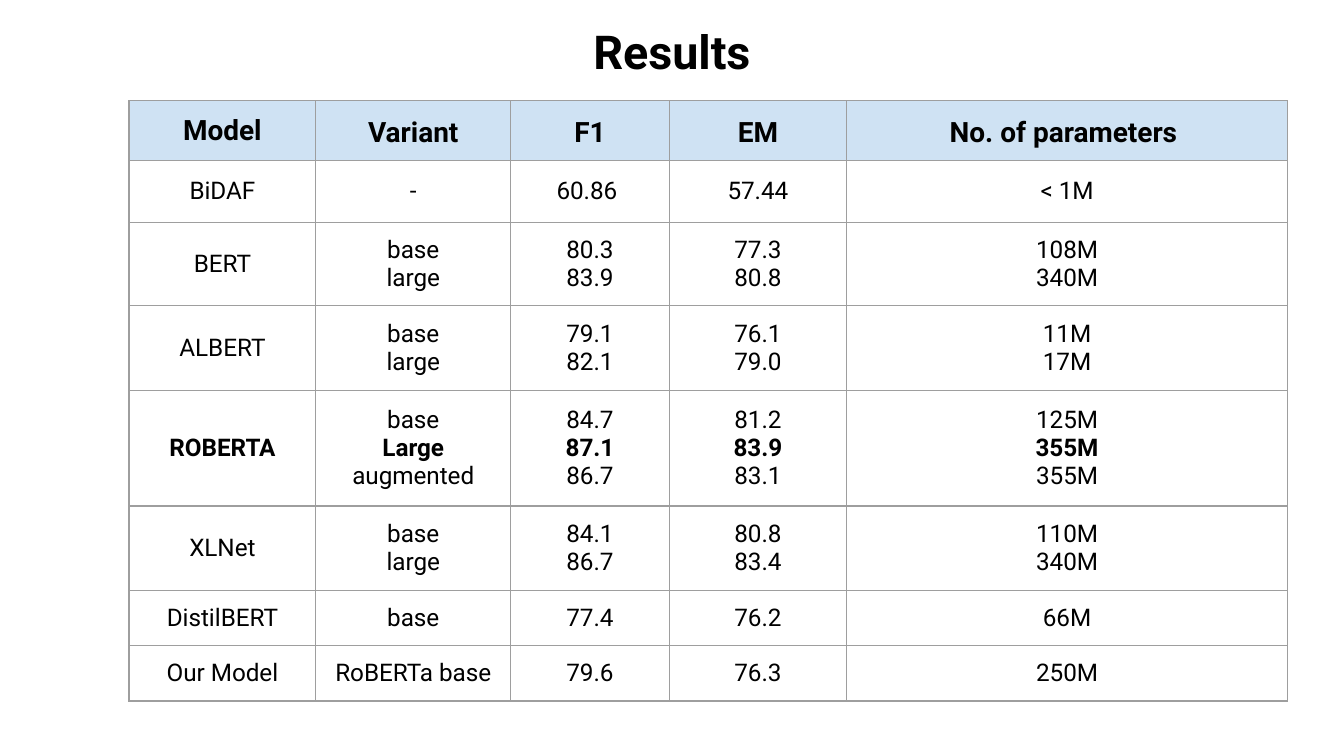
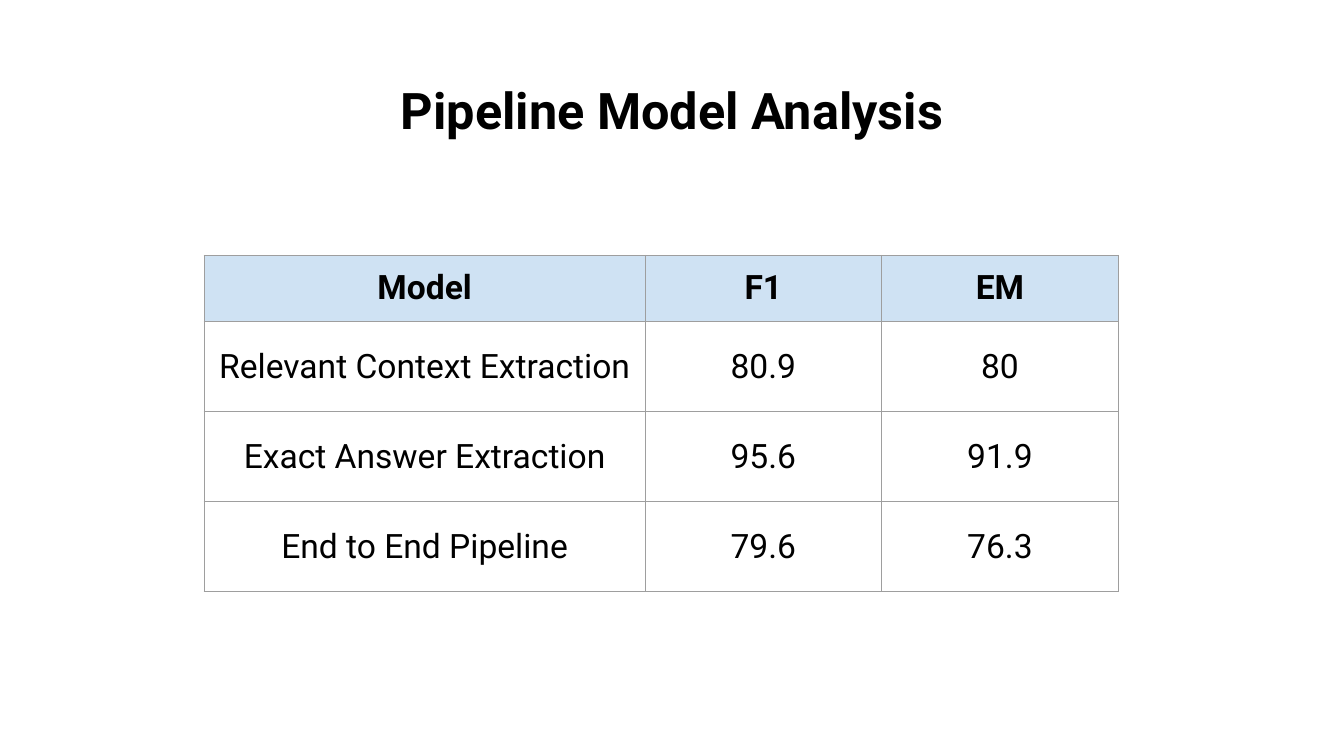
from dataclasses import dataclass
from typing import Optional

from lxml.etree import SubElement
from pptx import Presentation
from pptx.dml.color import RGBColor
from pptx.enum.text import MSO_ANCHOR as Anchor, PP_ALIGN as Align
from pptx.oxml.ns import qn
from pptx.util import Inches, Pt

FONT = "Roboto"
BLACK = RGBColor(0x00, 0x00, 0x00)
WHITE = RGBColor(0xFF, 0xFF, 0xFF)
GRID_GREY = RGBColor(0x9E, 0x9E, 0x9E)
HEADER_BLUE = RGBColor(0xCF, 0xE2, 0xF3)
GRID_WIDTH = Pt(0.75)
SLIDE_WIDTH = Inches(10)
SLIDE_HEIGHT = SLIDE_WIDTH * 9 // 16
TITLE_LAYOUT = 5


@dataclass(frozen=True)
class CellStyle:
    side_margin: float = 0.1
    end_margin: float = 0.1
    line_spacing: float = 1.0
    space_before: float = 0
    space_after: float = 0


PLAIN = CellStyle()
SPACED_HEADER = CellStyle(0.14, 0.06, 1.15, space_after=12)
TIGHT_SCORE = CellStyle(line_spacing=0.9, space_before=4)


@dataclass(frozen=True)
class Row:
    height: float
    cells: tuple[str, ...]
    best_line: Optional[int] = None


@dataclass(frozen=True)
class TableSlide:
    title: str
    title_top: float
    title_height: float
    title_size: float
    left: float
    top: float
    column_widths: tuple[float, ...]
    header_size: float
    body_size: float
    rows: tuple[Row, ...]
    special_styles: dict[tuple[int, int], CellStyle]


RESULTS = TableSlide(
    title="Results",
    title_top=0.05,
    title_height=0.71,
    title_size=25,
    left=0.96,
    top=0.75,
    column_widths=(1.39, 1.45, 1.18, 1.32, 3.28),
    header_size=15,
    body_size=13,
    rows=(
        Row(0.42, ("Model", "Variant", "F1", "EM", "No. of parameters ")),
        Row(0.46, ("BiDAF", "-", "60.86 ", "57.44", "< 1M")),
        Row(0.56, ("BERT", "base\nlarge", "80.3\n83.9", "77.3\n80.8", "108M\n340M")),
        Row(0.63, ("ALBERT", "base\nlarge", "79.1\n82.1", "76.1\n79.0", "11M\n17M")),
        Row(
            0.86,
            (
                "ROBERTA",
                "base\nLarge\naugmented",
                "84.7\n87.1\n86.7",
                "81.2\n83.9\n83.1",
                "125M\n355M\n355M",
            ),
            best_line=1,
        ),
        Row(0.63, ("XLNet", "base\nlarge", "84.1\n86.7", "80.8\n83.4", "110M\n340M")),
        Row(0.41, ("DistilBERT", "base", "77.4", "76.2", "66M")),
        Row(0.41, ("Our Model", "RoBERTa base", "79.6", "76.3", "250M")),
    ),
    special_styles={
        **{(0, column): SPACED_HEADER for column in range(1, 5)},
        **{(1, column): TIGHT_SCORE for column in (2, 3)},
    },
)

PIPELINE = TableSlide(
    title="Pipeline Model Analysis",
    title_top=0.3,
    title_height=1.09,
    title_size=27,
    left=1.52,
    top=1.9,
    column_widths=(3.28, 1.76, 1.76),
    header_size=18,
    body_size=18,
    rows=(
        Row(0.43, ("Model", "F1", "EM")),
        Row(0.67, ("Relevant Context Extraction", "80.9", "80")),
        Row(0.67, ("Exact Answer Extraction", "95.6", "91.9")),
        Row(0.67, ("End to End Pipeline", "79.6", "76.3")),
    ),
    special_styles={},
)


def format_paragraph(paragraph, size: float, bold: bool, line_spacing: float) -> None:
    paragraph.alignment = Align.CENTER
    paragraph.line_spacing = line_spacing
    for run in paragraph.runs:
        run.font.name = FONT
        run.font.size = Pt(size)
        run.font.bold = bold
        run.font.color.rgb = BLACK


def add_title(slide, content: TableSlide) -> None:
    title = slide.shapes.title
    title.left, title.top = Inches(0.69), Inches(content.title_top)
    title.width, title.height = Inches(8.62), Inches(content.title_height)
    text_frame = title.text_frame
    text_frame.text = content.title
    text_frame.word_wrap = True
    text_frame.vertical_anchor = Anchor.MIDDLE
    text_frame.margin_left = text_frame.margin_right = Inches(0.07)
    text_frame.margin_top = text_frame.margin_bottom = Inches(0.04)
    format_paragraph(text_frame.paragraphs[0], content.title_size, True, 0.9)


def add_borders(cell) -> None:
    properties = cell._tc.get_or_add_tcPr()
    for side in ("a:lnL", "a:lnR", "a:lnT", "a:lnB"):
        line = SubElement(properties, qn(side), w=str(GRID_WIDTH))
        fill = SubElement(line, qn("a:solidFill"))
        SubElement(fill, qn("a:srgbClr"), val=str(GRID_GREY))


def fill_cell(cell, text: str, size: float, row: Row, is_header: bool, style: CellStyle) -> None:
    cell.text_frame.text = text
    cell.vertical_anchor = Anchor.MIDDLE
    cell.margin_left = cell.margin_right = Inches(style.side_margin)
    cell.margin_top = cell.margin_bottom = Inches(style.end_margin)
    add_borders(cell)
    if is_header:
        cell.fill.solid()
        cell.fill.fore_color.rgb = HEADER_BLUE
    else:
        cell.fill.background()
    paragraphs = cell.text_frame.paragraphs
    for index, paragraph in enumerate(paragraphs):
        is_best = row.best_line is not None and index == min(row.best_line, len(paragraphs) - 1)
        format_paragraph(paragraph, size, is_header or is_best, style.line_spacing)
        paragraph.space_before = Pt(style.space_before)
        paragraph.space_after = Pt(style.space_after)


def add_results_table(slide, content: TableSlide) -> None:
    table = slide.shapes.add_table(
        len(content.rows),
        len(content.column_widths),
        Inches(content.left),
        Inches(content.top),
        Inches(sum(content.column_widths)),
        Inches(sum(row.height for row in content.rows)),
    ).table
    table.first_row = table.horz_banding = False
    for column, width in zip(table.columns, content.column_widths):
        column.width = Inches(width)
    for row_index, row in enumerate(content.rows):
        table.rows[row_index].height = Inches(row.height)
        is_header = row_index == 0
        size = content.header_size if is_header else content.body_size
        for column_index, text in enumerate(row.cells):
            style = content.special_styles.get((row_index, column_index), PLAIN)
            fill_cell(table.cell(row_index, column_index), text, size, row, is_header, style)


def main() -> None:
    presentation = Presentation()
    presentation.slide_width, presentation.slide_height = SLIDE_WIDTH, SLIDE_HEIGHT
    background = presentation.slide_master.background.fill
    background.solid()
    background.fore_color.rgb = WHITE
    for content in (RESULTS, PIPELINE):
        slide = presentation.slides.add_slide(presentation.slide_layouts[TITLE_LAYOUT])
        add_title(slide, content)
        add_results_table(slide, content)
    presentation.save("out.pptx")


if __name__ == "__main__":
    main()
